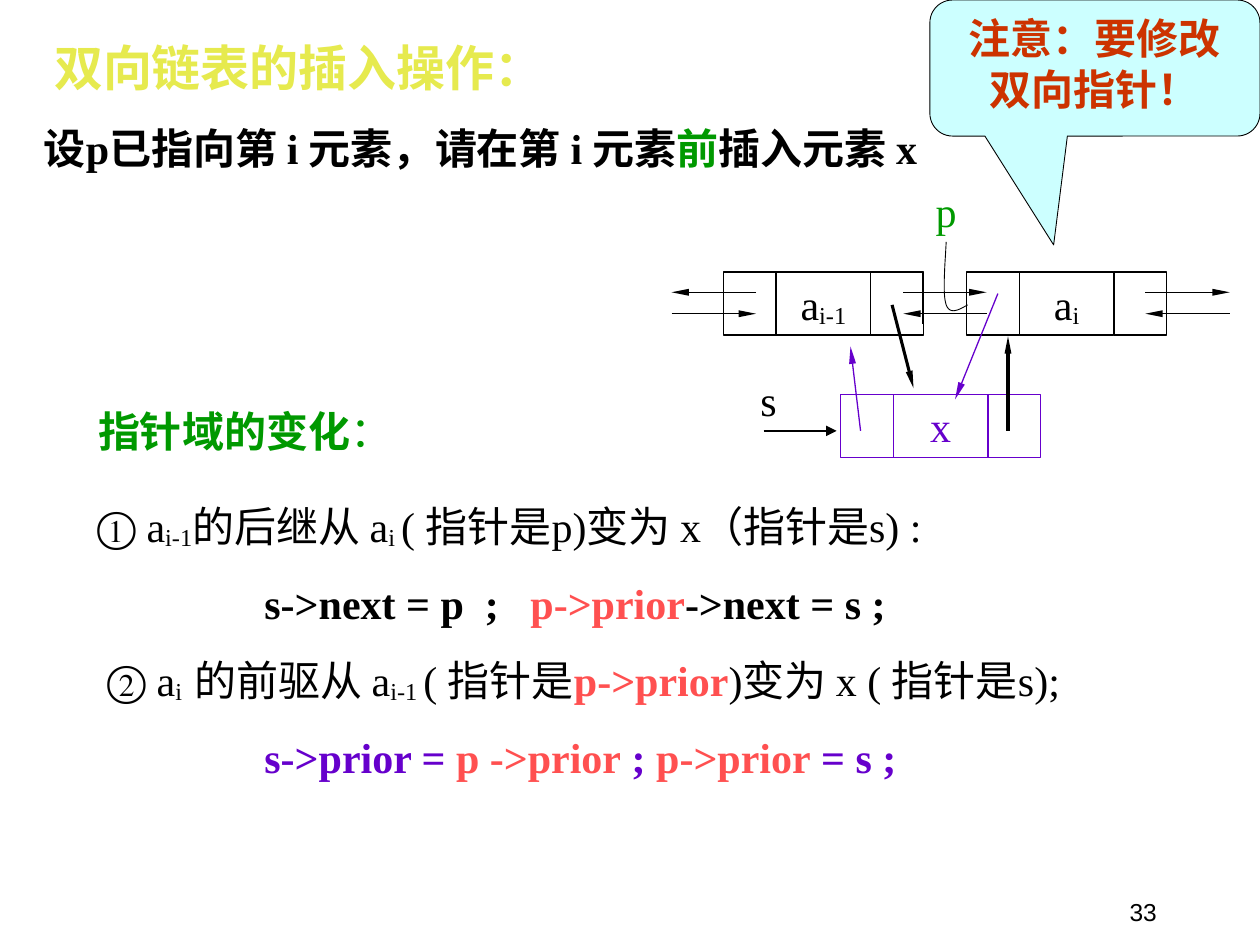
from pptx import Presentation
from pptx.dml.color import RGBColor
from pptx.enum.shapes import MSO_CONNECTOR as CON, MSO_SHAPE as SHAPE
from pptx.enum.text import MSO_ANCHOR as ANCHOR, MSO_AUTO_SIZE as FIT, PP_ALIGN as ALIGN
from pptx.oxml.ns import qn
from pptx.util import Inches, Pt
from lxml.etree import SubElement

BLACK, GREEN, PURPLE, RED = "000000", "009900", "6600CC", "FF5050"
SERIF = "Times New Roman"

# Text: each run is (text, colour, style); b = bold, _ = subscript
TITLE = [("双向链表的插入操作：", "E6EA4E", "b")]
TASK = [("设p已指向第 i 元素，请在第 i 元素", BLACK, "b"), ("前", GREEN, "b"),
        ("插入元素 x", BLACK, "b")]
NOTE = [("注意：要修改双向指针！", "CC3300", "b")]
HEADING = [("指针域的变化", GREEN, "b"), ("：", GREEN, "")]
STEPS = [  # (left indent, runs)
    (0, [("① a", BLACK, ""), ("i-1", BLACK, "_"), ("的后继从 a", BLACK, ""),
         ("i ", BLACK, "_"), ("( 指针是p)变为 x（指针是s) :", BLACK, "")]),
    (1.33, [("s->next = p  ;   ", BLACK, "b"), ("p->prior", RED, "b"),
            ("->next = s ;", BLACK, "b")]),
    (0.08, [("② a", BLACK, ""), ("i  ", BLACK, "_"), ("的前驱从 a", BLACK, ""),
            ("i-1 ", BLACK, "_"), ("( 指针是", BLACK, ""), ("p->prior", RED, "b"),
            (")变为 x ( 指针是s);", BLACK, "")]),
    (1.33, [("s->prior = ", PURPLE, "b"), ("p ->prior", RED, "b"), (" ; ", PURPLE, "b"),
            ("p->prior", RED, "b"), (" = s ;", PURPLE, "b")]),
]

# Diagram: nodes (left, top, colour, label) and arrows (from, to, colour, weight)
NODES = [
    (6.67, 3.13, PURPLE, [("x", PURPLE, "")]),
    (5.74, 2.16, BLACK, [("a", BLACK, ""), ("i-1", BLACK, "_")]),
    (7.67, 2.16, BLACK, [("a", BLACK, ""), ("i", BLACK, "_")]),
]
PREV_W, DATA_W, NODE_H = 0.42, 0.75, 0.5
ARROWS = [
    ((7.92, 2.33), (7.58, 3.17), PURPLE, 0.74),
    ((6.83, 3.42), (6.75, 2.75), PURPLE, 0.74),
    ((7.08, 2.42), (7.25, 3.08), BLACK, 1.76),
    ((8, 3.42), (8, 2.67), BLACK, 1.76),
    ((6, 2.32), (5.33, 2.32), BLACK, 0.74),
    ((5.33, 2.49), (6, 2.49), BLACK, 0.74),
    ((7.17, 2.32), (7.83, 2.32), BLACK, 0.74),
    ((7.83, 2.49), (7.17, 2.49), BLACK, 0.74),
    ((9.09, 2.32), (9.76, 2.32), BLACK, 0.74),
    ((9.76, 2.49), (9.09, 2.49), BLACK, 0.74),
]
P_CURVE = [[(7.51, 1.92), (7.5, 2.12), (7.48, 2.33), (7.51, 2.42)],
           [(7.51, 2.42), (7.54, 2.5), (7.61, 2.46), (7.68, 2.42)]]

prs = Presentation()
prs.slide_width, prs.slide_height = Inches(10), Inches(7.5)
slide = prs.slides.add_slide(prs.slide_layouts[5])
shapes = slide.shapes


def rgb(value):
    return RGBColor.from_string(value)


def inches(*values):
    return [Inches(v) for v in values]


def write(p, runs, size=24, align=ALIGN.LEFT, before=0, font=SERIF):
    p.alignment, p.space_before = align, Pt(before)
    for text, color, style in runs:
        r = p.add_run()
        r.text = text
        r.font.size, r.font.name, r.font.bold = Pt(size), font, "b" in style
        r.font.color.rgb = rgb(color)
        if "_" in style:
            r.font._element.set("baseline", "-10000")


def text_box(left, top, width, height, runs, wrap=True, anchor=ANCHOR.TOP, **style):
    tf = shapes.add_textbox(*inches(left, top, width, height)).text_frame
    tf.word_wrap, tf.vertical_anchor = wrap, anchor
    write(tf.paragraphs[0], runs, **style)
    return tf


def outline(sp, color, weight, fill=None):
    sp.shadow.inherit = False
    sp.line.color.rgb, sp.line.width = rgb(color), Pt(weight)
    if fill:
        sp.fill.solid()
        sp.fill.fore_color.rgb = rgb(fill)
    else:
        sp.fill.background()


def box(left, top, width, color, runs=()):
    sp = shapes.add_shape(SHAPE.RECTANGLE, *inches(left, top, width, NODE_H))
    outline(sp, color, 0.74)
    tf = sp.text_frame
    tf.word_wrap, tf.vertical_anchor = True, ANCHOR.TOP
    if runs:
        write(tf.paragraphs[0], runs, align=ALIGN.CENTER, before=15)


def line(start, end, color, weight, head=None):
    c = shapes.add_connector(CON.STRAIGHT, *inches(*start, *end))
    c.line.color.rgb, c.line.width = rgb(color), Pt(weight)
    if head:
        SubElement(c.line._get_or_add_ln(), qn("a:tailEnd"),
                   type="triangle", w=head[0], len=head[1])
    SubElement(c._element.spPr, qn("a:effectLst"))


def bezier(points, t):
    weights = ((1 - t) ** 3, 3 * t * (1 - t) ** 2, 3 * t * t * (1 - t), t ** 3)
    return tuple(Inches(sum(w * pt[i] for w, pt in zip(weights, points))) for i in (0, 1))


# Title and task
title = shapes.title
title.left, title.top, title.width, title.height = inches(0.33, 0.25, 4.94, 0.57)
tf = title.text_frame
tf.word_wrap, tf.auto_size, tf.vertical_anchor = True, FIT.NONE, ANCHOR.TOP
write(tf.paragraphs[0], TITLE, size=28)
text_box(0.25, 0.92, 7.25, 0.9, TASK, before=15)

# Steps
tf = text_box(0.67, 3.92, 8.75, 2.34, STEPS[0][1], before=15)
for indent, runs in STEPS[1:]:
    p = tf.add_paragraph()
    write(p, runs, before=15)
    p._p.get_or_add_pPr().set("marL", str(Inches(indent)))

# Callout
sp = shapes.add_shape(SHAPE.ROUNDED_RECTANGULAR_CALLOUT, *inches(7.38, 0, 2.62, 1.08))
for i, value in enumerate((-0.125, 1.3, 0.167)):
    sp.adjustments[i] = value
outline(sp, BLACK, 0.51, "CCFFFF")
sp.text_frame.word_wrap, sp.text_frame.vertical_anchor = True, ANCHOR.TOP
write(sp.text_frame.paragraphs[0], NOTE, align=ALIGN.CENTER)

# List nodes: prior, data, next
for left, top, color, label in NODES:
    box(left + PREV_W, top, DATA_W, color, label)
    box(left + PREV_W + DATA_W, top, PREV_W, color)
    box(left, top, PREV_W, color)
for x in (7.32, 7.67):
    for y in (2.16, 2.32):
        line((x, y), (x, y + 0.25), BLACK, 0.74)

# Pointers
for arrow in ARROWS:
    line(*arrow, head=("sm", "lg"))
line((6.06, 3.42), (6.64, 3.42), BLACK, 0.74, head=("med", "med"))
text_box(5.89, 2.92, 0.42, 0.5, [("s", BLACK, "")], align=ALIGN.CENTER, before=15)
text_box(7.26, 1.42, 0.5, 0.5, [("p", GREEN, "")], align=ALIGN.CENTER)
curve = [bezier(part, n / 12) for part in P_CURVE for n in range(13)]
builder = shapes.build_freeform(*curve[0])
builder.add_line_segments(curve[1:], close=False)
outline(builder.convert_to_shape(), BLACK, 0.51)

# Heading and page number
text_box(0.68, 3.17, 2.53, 0.5, HEADING, wrap=False, align=ALIGN.CENTER, before=15)
text_box(7.2, 6.9, 2.08, 0.5, [("33", BLACK, "")], anchor=ANCHOR.BOTTOM,
         size=14, align=ALIGN.RIGHT, font="Arial")

prs.save("out.pptx")
